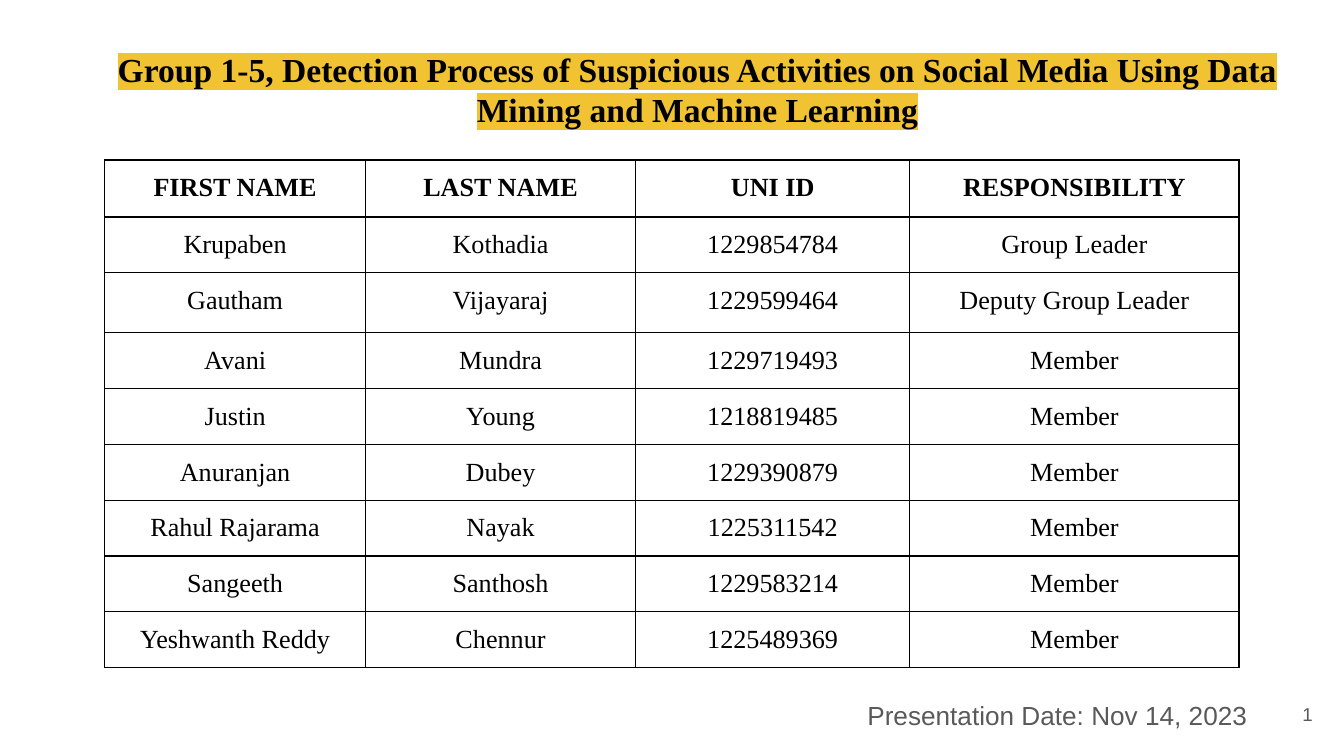
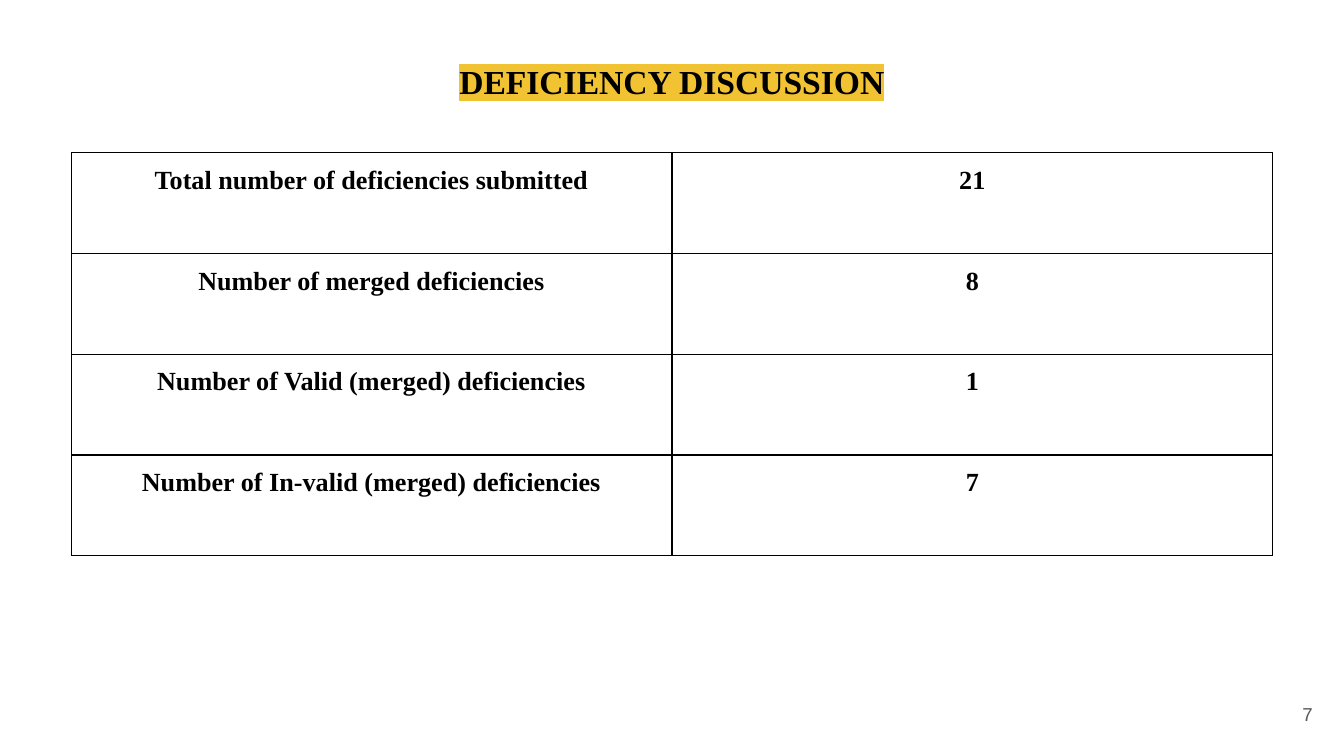
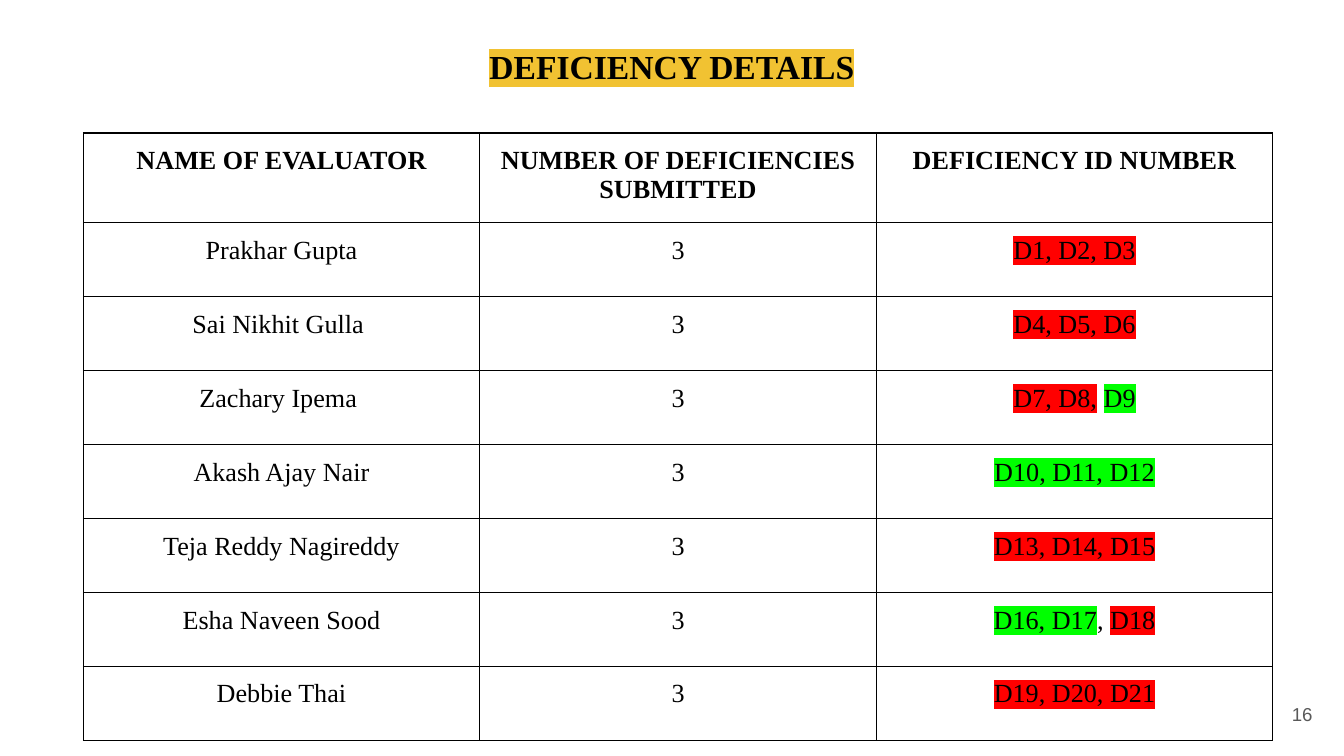
"""Build three slides on a group project: its members, its deficiency counts and their details."""
from dataclasses import dataclass

from lxml.etree import SubElement as Sub
from pptx import Presentation
from pptx.dml.color import RGBColor as Rgb
from pptx.enum.text import MSO_ANCHOR as Anchor, MSO_AUTO_SIZE as Fit, PP_ALIGN as Align
from pptx.oxml import parse_xml
from pptx.oxml.ns import nsdecls, qn
from pptx.util import Pt

PX = 4572


@dataclass(frozen=True)
class Theme:
    ink: str = "000000"
    paper: str = "FFFFFF"
    gray: str = "595959"
    gold: str = "F1C232"
    red: str = "FF0000"
    green: str = "00FF00"
    serif: str = "Times New Roman"
    sans: str = "Arial"
    head: int = 18
    body: int = 14
    small: int = 10
    line: int = 9525
    pad: int = 20
    frame: int = 656


look = Theme()


def write(frame, text, size=look.body, font=look.serif, color=look.ink, bold=False, mark=None, align=Align.CENTER):
    """Fill a text frame with a string, or with a list of (string, highlight) pairs."""
    para = frame.paragraphs[0]
    para.alignment = align
    for part, tint in [(text, mark)] if isinstance(text, str) else text:
        run = para.add_run()
        run.text = part
        run.font.size, run.font.bold = Pt(size), bold
        run.font.color.rgb = Rgb.from_string(color)
        if tint:
            light = Sub(run.font._element, qn("a:highlight"))
            Sub(light, qn("a:srgbClr"), val=tint)
        run.font.name = font


def box(slide, area, text, grow=True, **style):
    """Add a padded text box; one that does not grow centres its text vertically."""
    frame = slide.shapes.add_textbox(*[n * PX for n in area]).text_frame
    frame.word_wrap = True
    frame.margin_left = frame.margin_right = frame.margin_top = frame.margin_bottom = look.pad * PX
    frame.auto_size = Fit.SHAPE_TO_FIT_TEXT if grow else Fit.NONE
    frame.vertical_anchor = Anchor.TOP if grow else Anchor.MIDDLE
    write(frame, text, **style)


team = [
    ("FIRST NAME", "LAST NAME", "UNI ID", "RESPONSIBILITY"),
    ("Krupaben", "Kothadia", "1229854784", "Group Leader"),
    ("Gautham", "Vijayaraj", "1229599464", "Deputy Group Leader"),
    ("Avani", "Mundra", "1229719493", "Member"),
    ("Justin", "Young", "1218819485", "Member"),
    ("Anuranjan", "Dubey", "1229390879", "Member"),
    ("Rahul Rajarama", "Nayak", "1225311542", "Member"),
    ("Sangeeth", "Santhosh", "1229583214", "Member"),
    ("Yeshwanth Reddy", "Chennur", "1225489369", "Member"),
]
counts = [
    ("Total number of deficiencies submitted", "21"),
    ("Number of merged deficiencies", "8"),
    ("Number of Valid (merged) deficiencies", "1"),
    ("Number of In-valid (merged) deficiencies", "7"),
]
flaws = [
    ("NAME OF EVALUATOR", "NUMBER OF DEFICIENCIES SUBMITTED", "DEFICIENCY ID NUMBER"),
    ("Prakhar Gupta", "3", [("D1, D2, D3", look.red)]),
    ("Sai Nikhit Gulla ", "3", [("D4, D5, D6", look.red)]),
    ("Zachary Ipema ", "3", [("D7, D8,", look.red), (" ", None), ("D9", look.green)]),
    ("Akash Ajay Nair", "3", [("D10, D11, D12", look.green)]),
    ("Teja Reddy Nagireddy", "3", [("D13, D14, D15", look.red)]),
    ("Esha Naveen Sood", "3", [("D16, D17", look.green), (", ", None), ("D18", look.red)]),
    ("Debbie Thai", "3", [("D19, D20, D21", look.red)]),
]

topic = "Group 1-5, Detection Process of Suspicious Activities on Social Media Using Data Mining and Machine Learning"
pages = [
    dict(no="1", title=topic, area=(103, 53, 1870, 162), spot=(156, 238), rows=team, bold=1,
         wide=[388, 402, 408, 490], high=[85, 83, 89] + [83] * 6, fill=look.paper,
         date="Presentation Date: Nov 14, 2023"),
    dict(no="7", title="DEFICIENCY DISCUSSION", area=(313, 70, 1374, 100), spot=(106, 227), rows=counts,
         bold=len(counts), wide=[894] * 2, high=[150] * 4, fill=None, date=None),
    dict(no="16", title="DEFICIENCY DETAILS", area=(313, 48, 1374, 100), spot=(124, 198), rows=flaws, bold=1,
         wide=[590] * 3, high=[110] * 8, fill=None, date=None),
]

deck = Presentation()
deck.slide_width, deck.slide_height = 2000 * PX, 1125 * PX

for page in pages:
    slide = deck.slides.add_slide(deck.slide_layouts[6])
    rows, wide, high = page["rows"], page["wide"], page["high"]
    area = (*page["spot"], sum(wide), sum(high))
    holder = slide.shapes.add_table(len(high), len(wide), *[n * PX for n in area])
    grid = holder.table
    grid.first_row = grid.horz_banding = False
    for col, size in zip(grid.columns, wide):
        col.width = size * PX
    for row, size in zip(grid.rows, high):
        row.height = size * PX
    holder.width = holder.height = look.frame * PX

    for r, row in enumerate(rows):
        for c, text in enumerate(row):
            cell = grid.cell(r, c)
            cell.margin_left = cell.margin_right = cell.margin_top = cell.margin_bottom = look.pad * PX
            if page["fill"] and r == 0:
                cell.fill.solid()
                cell.fill.fore_color.rgb = Rgb.from_string(page["fill"])
            else:
                cell.fill.background()
            props = cell._tc.get_or_add_tcPr()
            for i, side in enumerate("LRTB"):
                props.insert(i, parse_xml(
                    f'<a:ln{side} {nsdecls("a")} w="{look.line}"><a:solidFill>'
                    f'<a:srgbClr val="{look.ink}"/></a:solidFill></a:ln{side}>'))
            write(cell.text_frame, text, bold=r < page["bold"])

    box(slide, page["area"], page["title"], size=look.head, bold=True, mark=look.gold)
    box(slide, (1853, 1020, 120, 86), page["no"], grow=False, size=look.small, font=look.sans,
        color=look.gray, align=Align.RIGHT)
    if page["date"]:
        box(slide, (1271, 1021, 618, 88), page["date"], font=look.sans, color=look.gray, align=Align.LEFT)

deck.save("out.pptx")
